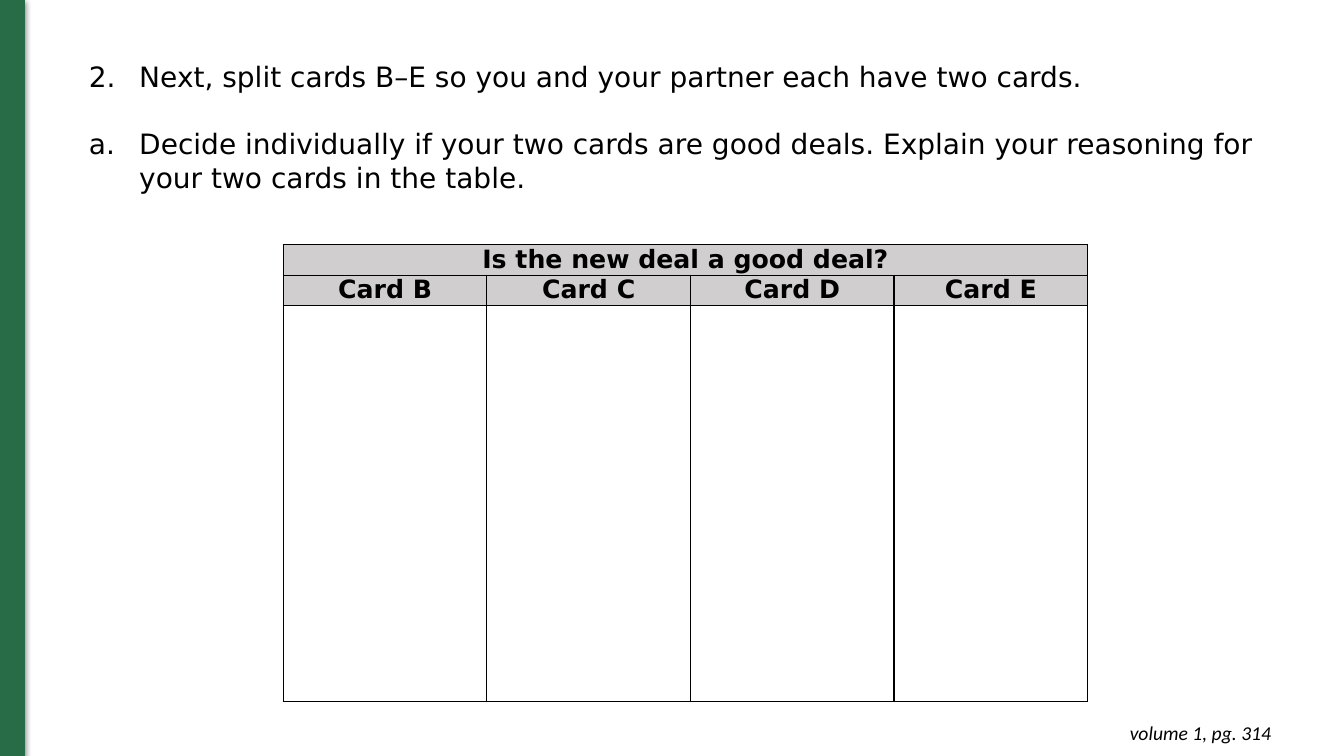
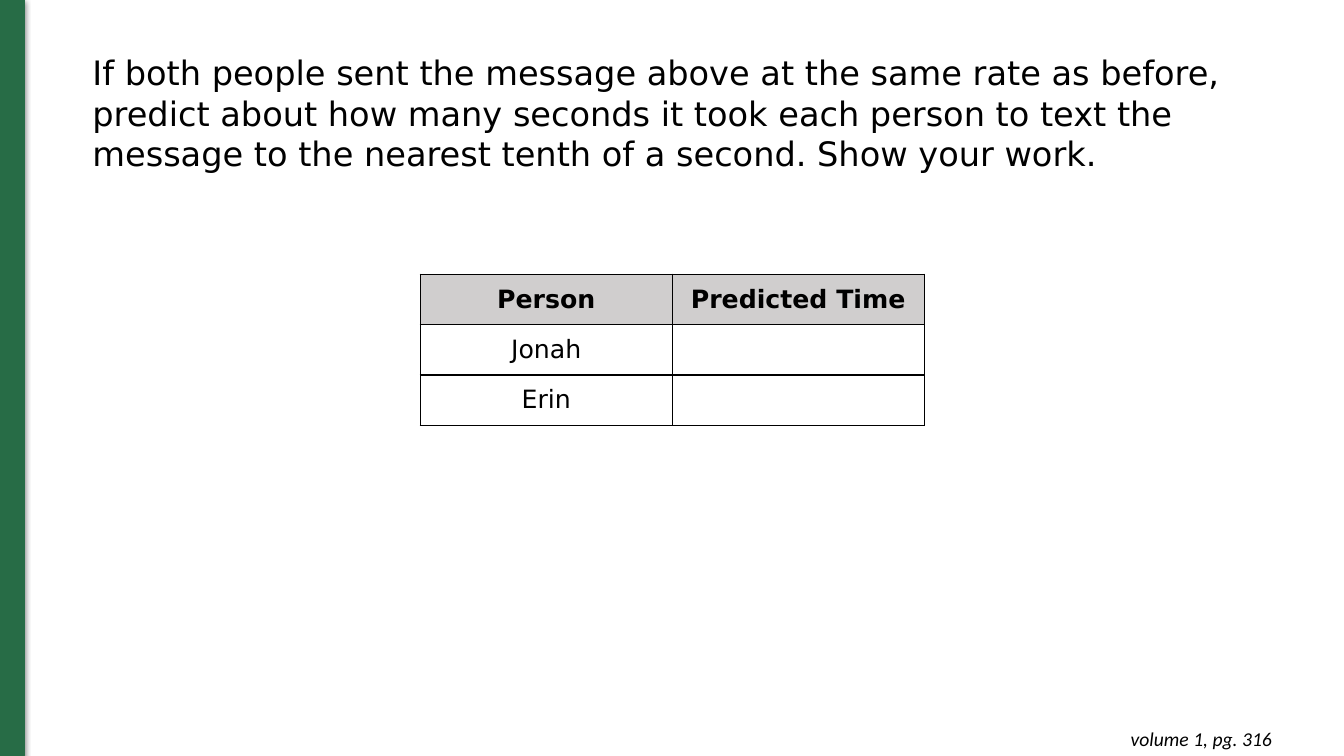
from lxml.etree import SubElement
from pptx import Presentation
from pptx.dml.color import RGBColor
from pptx.enum.shapes import MSO_SHAPE as SHAPE
from pptx.enum.text import MSO_ANCHOR as ANCHOR, PP_ALIGN as ALIGN
from pptx.oxml import parse_xml
from pptx.oxml.ns import nsdecls, qn
from pptx.util import Cm, Pt

COLORS = {"green": "276C46", "header": "D0CECE", "ink": "000000"}
BODY, FOOTER = "DejaVu Sans", "Calibri"


def rgb(name):
    """Return a named colour."""
    return RGBColor.from_string(COLORS[name])


def write(p, text, size=18, font=BODY, bold=False, italic=False, align=ALIGN.LEFT):
    """Write formatted text into a paragraph."""
    p.alignment = align
    r = p.add_run()
    r.text = text
    r.font.name, r.font.size = font, Pt(size)
    r.font.bold, r.font.italic = bold, italic
    r.font.color.rgb = rgb("ink")


def number(p, scheme, start=1):
    """Give a paragraph a hanging automatic number."""
    pPr = p._p.get_or_add_pPr()
    pPr.set("marL", str(Cm(1.63)))
    pPr.set("indent", str(Cm(-1.27)))
    clr = SubElement(pPr, qn("a:buClr"))
    SubElement(clr, qn("a:srgbClr"), val=COLORS["ink"])
    SubElement(pPr, qn("a:buAutoNum"), type=scheme, startAt=str(start))


def text_box(s, box):
    """Add a wrapping text box and return its frame."""
    tf = s.shapes.add_textbox(*map(Cm, box)).text_frame
    tf.word_wrap = True
    return tf


def side_band(s, height):
    """Draw the shadowed green band down the left edge."""
    sp = s.shapes.add_shape(SHAPE.RECTANGLE, 0, 0, Cm(0.61), height)
    sp.fill.solid()
    sp.fill.fore_color.rgb = sp.line.color.rgb = rgb("green")
    sp.line.width = Pt(0.75)
    sp._element.spPr.append(parse_xml(
        f'<a:effectLst {nsdecls("a")}><a:outerShdw blurRad="{Pt(4.5)}" dist="{Pt(1.5)}" '
        f'dir="5400000" rotWithShape="0"><a:srgbClr val="{COLORS["ink"]}">'
        '<a:alpha val="50000"/></a:srgbClr></a:outerShdw></a:effectLst>'))


def page_note(s, page, left, top):
    """Place the page reference at the lower right."""
    tf = text_box(s, (left, top, 7.32, 1.12))
    tf.margin_top = tf.margin_bottom = Cm(0.25)
    write(tf.paragraphs[0], f"volume 1, pg. {page}", size=14, font=FOOTER,
          italic=True, align=ALIGN.RIGHT)


def border(cell):
    """Draw a thin line on all four sides of a cell."""
    tcPr = cell._tc.get_or_add_tcPr()
    for i, side in enumerate("LRTB"):
        tcPr.insert(i, parse_xml(
            f'<a:ln{side} {nsdecls("a")} w="{Pt(1)}"><a:solidFill>'
            f'<a:srgbClr val="{COLORS["ink"]}"/></a:solidFill></a:ln{side}>'))


def grid(s, left, top, widths, heights, rows, headers, anchor, margin):
    """Add a bordered table whose first rows are shaded headers."""
    frame = s.shapes.add_table(len(heights), len(widths), Cm(left), Cm(top),
                               Cm(sum(widths)), Cm(sum(heights)))
    table = frame.table
    table.first_row = table.horz_banding = False
    for col, width in zip(table.columns, widths):
        col.width = Cm(width)
    for i, (row, height, texts) in enumerate(zip(table.rows, heights, rows)):
        row.height = Cm(height)
        for cell, text in zip(row.cells, texts):
            cell.margin_left = cell.margin_right = Cm(margin)
            cell.margin_top = cell.margin_bottom = 0
            cell.vertical_anchor = anchor
            if i < headers:
                cell.fill.solid()
                cell.fill.fore_color.rgb = rgb("header")
            else:
                cell.fill.background()
            border(cell)
            if text:
                write(cell.text_frame.paragraphs[0], text, bold=i < headers,
                      align=ALIGN.CENTER)
    return table


def cards_slide(s):
    """Build the numbered steps and the card table."""
    tf = text_box(s, (1.63, 1.37, 30.61, 3.68))
    p = tf.paragraphs[0]
    number(p, "arabicPeriod", 2)
    write(p, "Next, split cards B–E so you and your partner each have two cards.", size=20)
    p = tf.add_paragraph()
    number(p, "alphaLcPeriod")
    p.space_before = Pt(24)
    write(p, "Decide individually if your two cards are good deals. Explain your "
             "reasoning for your two cards in the table.", size=20)
    page_note(s, 314, 24.97, 17.91)
    rows = [["Is the new deal a good deal?", "", "", ""],
            [f"Card {c}" for c in "BCDE"], [""] * 4]
    table = grid(s, 7.14, 6.17, [5.13] * 3 + [4.88], [0.76, 0.76, 9.98], rows,
                 headers=2, anchor=ANCHOR.TOP, margin=0.16)
    table.cell(0, 0).merge(table.cell(0, 3))


def prediction_slide(s):
    """Build the question and the predicted time table."""
    tf = text_box(s, (2.08, 1.19, 31.04, 3.33))
    write(tf.paragraphs[0], "If both people sent the message above at the same rate as "
          "before, predict about how many seconds it took each person to text the "
          "message to the nearest tenth of a second. Show your work.", size=24)
    page_note(s, 316, 24.99, 18.06)
    rows = [["Person", "Predicted Time"], ["Jonah", ""], ["Erin", ""]]
    grid(s, 10.59, 6.91, [6.35] * 2, [1.27] * 3, rows,
         headers=1, anchor=ANCHOR.MIDDLE, margin=0.18)


def main():
    """Build and save the presentation."""
    prs = Presentation()
    prs.slide_width, prs.slide_height = Cm(33.87), Cm(19.05)
    for build in (cards_slide, prediction_slide):
        s = prs.slides.add_slide(prs.slide_layouts[6])
        side_band(s, prs.slide_height)
        build(s)
    prs.save("out.pptx")


if __name__ == "__main__":
    main()
